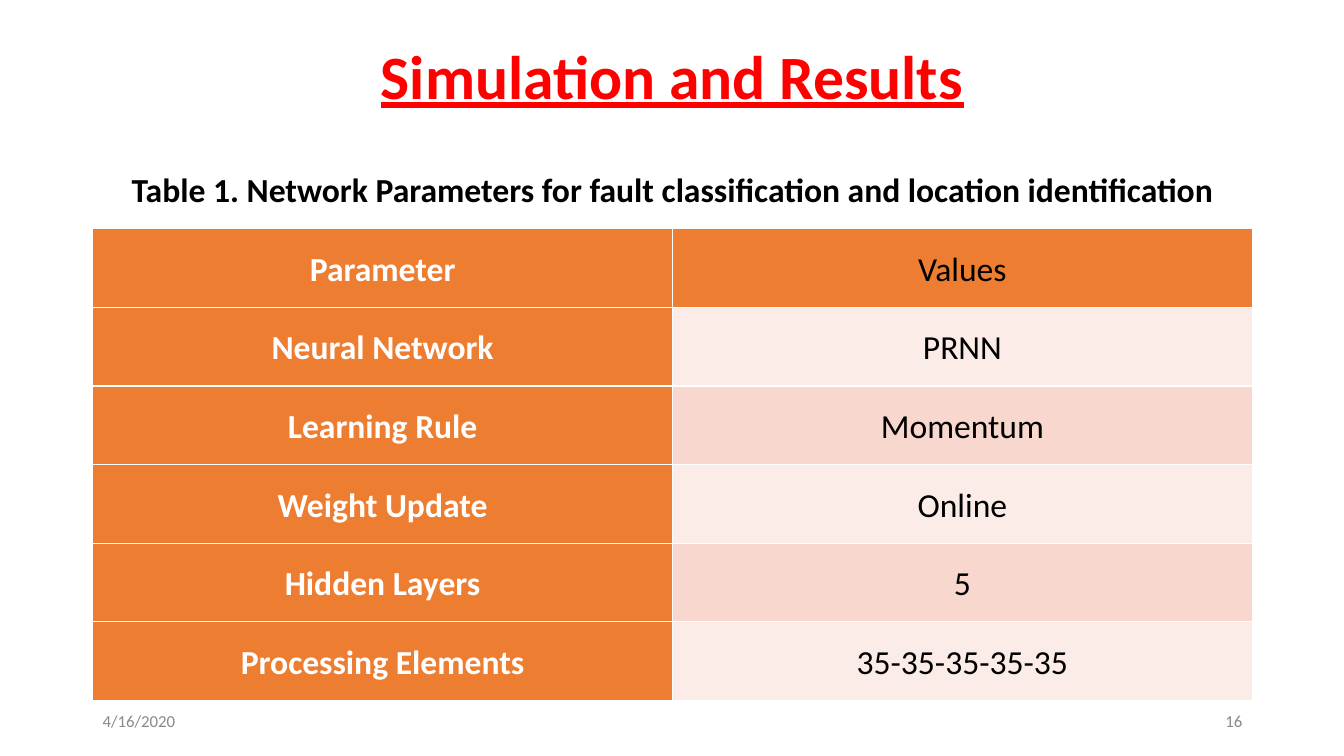
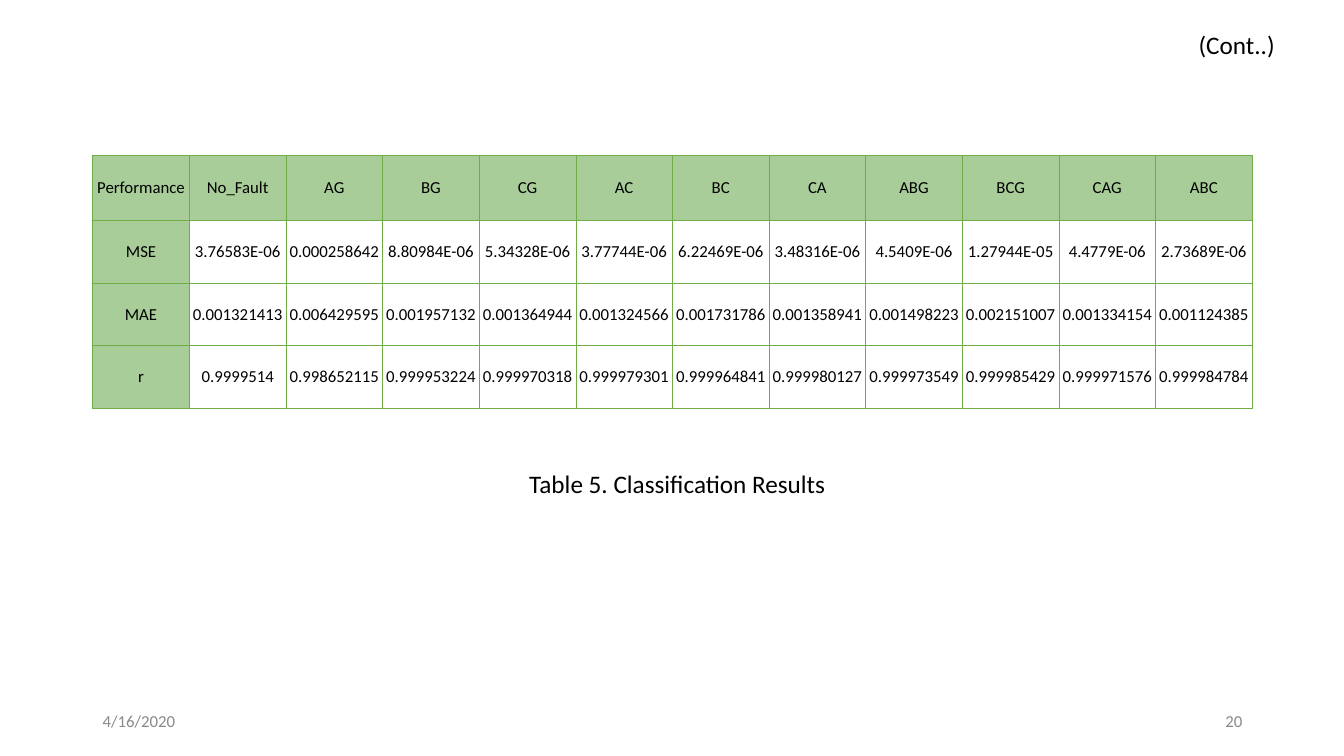
from lxml import etree
from pptx import Presentation
from pptx.dml.color import RGBColor
from pptx.enum.text import MSO_ANCHOR, PP_ALIGN
from pptx.oxml.ns import qn
from pptx.util import Inches, Pt

FONT = "Calibri"
BLACK = RGBColor(0x00, 0x00, 0x00)
WHITE = RGBColor(0xFF, 0xFF, 0xFF)
RED = RGBColor(0xFF, 0x00, 0x00)
GREY = RGBColor(0x89, 0x89, 0x89)
ORANGE = RGBColor(0xED, 0x7D, 0x31)
PALE_BANDS = (RGBColor(0xFC, 0xEC, 0xE8), RGBColor(0xF8, 0xD7, 0xCE))
GREEN = RGBColor(0x70, 0xAD, 0x47)
LIGHT_GREEN = RGBColor(0xA9, 0xCD, 0x99)

MARGIN = 0.92
CONTENT_WIDTH = 11.5
DATE = "4/16/2020"

PARAMETERS_CAPTION = "Table 1. Network Parameters for fault classification and location identification"
PARAMETERS = [
    ("Parameter", "Values"),
    ("Neural Network", "PRNN"),
    ("Learning Rule", "Momentum"),
    ("Weight Update", "Online"),
    ("Hidden Layers", "5"),
    ("Processing Elements", "35-35-35-35-35"),
]
RESULTS = [
    ("Performance", "No_Fault", "AG", "BG", "CG", "AC", "BC", "CA",
     "ABG", "BCG", "CAG", "ABC"),
    ("MSE", "3.76583E-06", "0.000258642", "8.80984E-06", "5.34328E-06",
     "3.77744E-06", "6.22469E-06", "3.48316E-06", "4.5409E-06",
     "1.27944E-05", "4.4779E-06", "2.73689E-06"),
    ("MAE", "0.001321413", "0.006429595", "0.001957132", "0.001364944",
     "0.001324566", "0.001731786", "0.001358941", "0.001498223",
     "0.002151007", "0.001334154", "0.001124385"),
    ("r", "0.9999514", "0.998652115", "0.999953224", "0.999970318",
     "0.999979301", "0.999964841", "0.999980127", "0.999973549",
     "0.999985429", "0.999971576", "0.999984784"),
]


def write(frame, text, size=18, color=BLACK, bold=False, underline=False,
          align=PP_ALIGN.LEFT, spacing=1.0):
    para = frame.paragraphs[0]
    para.alignment = align
    para.line_spacing = spacing
    span = para.add_run()
    span.text = text
    font = span.font
    font.name, font.size, font.bold, font.underline = FONT, Pt(size), bold, underline
    font.color.rgb = color


def add_text(page, text, left, top, width, height, wrap=True,
             anchor=MSO_ANCHOR.TOP, **style):
    box = page.shapes.add_textbox(Inches(left), Inches(top), Inches(width), Inches(height))
    frame = box.text_frame
    frame.word_wrap = wrap
    frame.vertical_anchor = anchor
    write(frame, text, **style)


def add_grid(page, top, columns, row_heights):
    """Add an unbanded table with equal columns across the content width."""
    height = sum(row_heights)
    table = page.shapes.add_table(len(row_heights), columns, Inches(MARGIN), Inches(top),
                                  Inches(CONTENT_WIDTH), Inches(height)).table
    table.first_row = table.horz_banding = False
    for column in table.columns:
        column.width = Inches(CONTENT_WIDTH / columns)
    for row, row_height in zip(table.rows, row_heights):
        row.height = Inches(row_height)
    return table


def set_borders(cell, color, width):
    properties = cell._tc.get_or_add_tcPr()
    for side in ("a:lnL", "a:lnR", "a:lnT", "a:lnB"):
        line = etree.SubElement(properties, qn(side), w=str(Pt(width)))
        fill = etree.SubElement(line, qn("a:solidFill"))
        etree.SubElement(fill, qn("a:srgbClr"), val=str(color))


def fill_cell(cell, text, fill, border, border_width, side_inset=0,
              anchor=MSO_ANCHOR.TOP, **style):
    set_borders(cell, border, border_width)
    cell.fill.solid()
    cell.fill.fore_color.rgb = fill
    cell.margin_left = cell.margin_right = Inches(side_inset)
    cell.margin_top = cell.margin_bottom = 0
    cell.vertical_anchor = anchor
    write(cell.text_frame, text, align=PP_ALIGN.CENTER, **style)


def add_footer(page, number):
    width = 3
    style = dict(size=12, color=GREY, anchor=MSO_ANCHOR.MIDDLE)
    add_text(page, DATE, MARGIN, 6.95, width, 0.4, **style)
    add_text(page, str(number), MARGIN + CONTENT_WIDTH - width, 6.95, width, 0.4,
             align=PP_ALIGN.RIGHT, **style)


def add_parameter_table(page):
    style = dict(border=WHITE, border_width=1, side_inset=0.07, size=24, spacing=1.5)
    table = add_grid(page, 1.49, 2, [0.78] * (len(PARAMETERS) + 1))
    caption = table.cell(0, 0)
    caption.merge(table.cell(0, 1))
    fill_cell(caption, PARAMETERS_CAPTION, WHITE, bold=True, **style)
    for index, (name, value) in enumerate(PARAMETERS):
        value_fill = PALE_BANDS[(index - 1) % 2] if index else ORANGE
        fill_cell(table.cell(index + 1, 0), name, ORANGE, color=WHITE, bold=True, **style)
        fill_cell(table.cell(index + 1, 1), value, value_fill, **style)


def add_result_table(page):
    table = add_grid(page, 1.54, len(RESULTS[0]), [0.65] + [0.62] * (len(RESULTS) - 1))
    for row, values in enumerate(RESULTS):
        for column, value in enumerate(values):
            is_label = row == 0 or column == 0
            fill_cell(table.cell(row, column), value, LIGHT_GREEN if is_label else WHITE,
                      GREEN, 0.5, anchor=MSO_ANCHOR.MIDDLE, size=12)


def build_parameters(page):
    add_parameter_table(page)
    add_footer(page, 16)
    add_text(page, "Simulation and Results", MARGIN, 0.4, CONTENT_WIDTH, 0.77,
             anchor=MSO_ANCHOR.MIDDLE, size=44, color=RED, bold=True, underline=True,
             align=PP_ALIGN.CENTER, spacing=0.9)


def build_results(page):
    add_footer(page, 20)
    add_text(page, "Table 5. Classification Results", 5.15, 4.6, 3.17, 0.4, wrap=False)
    add_result_table(page)
    add_text(page, "(Cont..)", 11.79, 0.24, 0.97, 0.4)


def main():
    deck = Presentation()
    deck.slide_width, deck.slide_height = Inches(13.33), Inches(7.5)
    for build in (build_parameters, build_results):
        build(deck.slides.add_slide(deck.slide_layouts[6]))
    deck.save("out.pptx")


if __name__ == "__main__":
    main()
